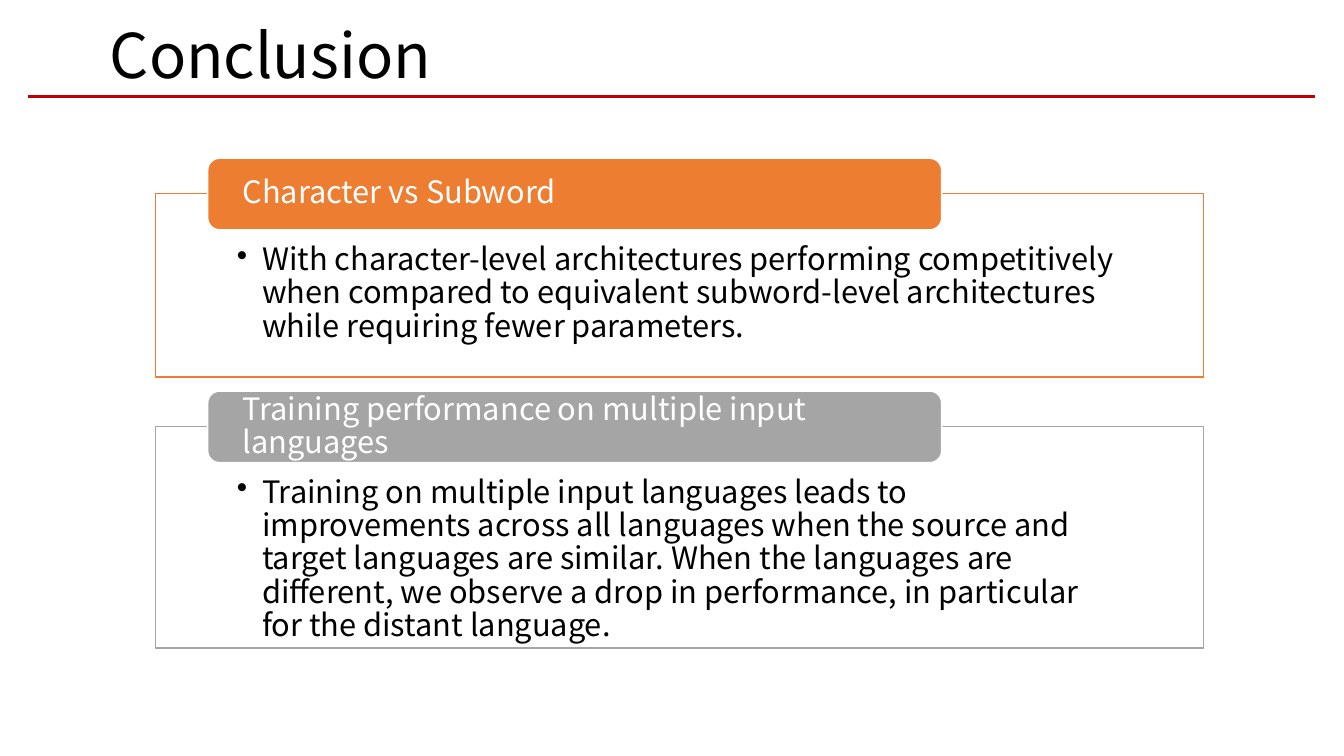
"""Build the conclusion slide with two titled finding panels."""
from dataclasses import dataclass

from lxml.etree import SubElement
from pptx import Presentation
from pptx.dml.color import RGBColor
from pptx.enum.shapes import MSO_CONNECTOR as Connector, MSO_SHAPE as Preset
from pptx.enum.text import MSO_ANCHOR as Anchor, PP_ALIGN as Align
from pptx.oxml.ns import qn
from pptx.shapes.autoshape import Shape
from pptx.shapes.shapetree import SlideShapes
from pptx.text.text import TextFrame
from pptx.util import Emu, Pt

FONT = "Noto Sans CJK SC"
COLORS = {
    "text": "000000",
    "paper": "FFFFFF",
    "rule": "BF0000",
    "orange": "ED7D31",
    "gray": "A5A5A5",
}
PANEL_LEFT, PANEL_WIDTH = 154, 1040
HEADING_LEFT, HEADING_WIDTH, HEADING_HEIGHT = 206, 728, 71
HEADING_RISE = 35


@dataclass(frozen=True)
class Finding:
    heading: str
    detail: str
    color: str
    top: int
    height: int


FINDINGS = [
    Finding(
        "Character vs Subword",
        "With character-level architectures performing competitively when "
        "compared to equivalent subword-level architectures while requiring "
        "fewer parameters.",
        "orange", 192, 182,
    ),
    Finding(
        "Training performance on multiple input languages",
        "Training on multiple input languages leads to improvements across all "
        "languages when the source and target languages are similar. When the "
        "languages are different, we observe a drop in performance, in "
        "particular for the distant language.",
        "gray", 423, 220,
    ),
]


def px(length: int) -> Emu:
    """Turn hundredths of an inch into EMU."""
    return Emu(length * 9144)


def rgb(color: str) -> RGBColor:
    """Look up a named colour."""
    return RGBColor.from_string(COLORS[color])


def write(frame: TextFrame, text: str, size: int, color: str, anchor: Anchor,
          insets: tuple[int, int, int, int]) -> None:
    """Put one left-aligned paragraph into a frame."""
    frame.word_wrap = True
    frame.vertical_anchor = anchor
    (frame.margin_left, frame.margin_top,
     frame.margin_right, frame.margin_bottom) = map(px, insets)
    paragraph = frame.paragraphs[0]
    paragraph.alignment = Align.LEFT
    paragraph.line_spacing = 0.9
    run = paragraph.add_run()
    run.text = text
    run.font.name = FONT
    run.font.size = Pt(size)
    run.font.color.rgb = rgb(color)


def add_bullet(frame: TextFrame) -> None:
    """Give the first paragraph a hanging bullet."""
    properties = frame.paragraphs[0]._p.get_or_add_pPr()
    properties.set("marL", str(px(25)))
    properties.set("indent", str(px(-25)))
    SubElement(properties, qn("a:buChar"), char="•")


def add_box(shapes: SlideShapes, preset: Preset, bounds: tuple[int, int, int, int],
            fill: str, outline: str) -> Shape:
    """Draw a filled, outlined shape without a shadow."""
    box = shapes.add_shape(preset, *map(px, bounds))
    box.shadow.inherit = False
    box.fill.solid()
    box.fill.fore_color.rgb = rgb(fill)
    box.line.color.rgb = rgb(outline)
    box.line.width = Pt(1)
    return box


def add_finding(shapes: SlideShapes, finding: Finding) -> None:
    """Draw a detail panel with its heading over the top edge."""
    panel = add_box(shapes, Preset.RECTANGLE,
                    (PANEL_LEFT, finding.top, PANEL_WIDTH, finding.height),
                    "paper", finding.color)
    panel_color = panel._element.spPr.find(qn("a:solidFill")).find(qn("a:srgbClr"))
    SubElement(panel_color, qn("a:alpha"), val="90000")
    write(panel.text_frame, finding.detail, 22, "text", Anchor.TOP, (81, 50, 81, 17))
    add_bullet(panel.text_frame)
    heading = add_box(shapes, Preset.ROUNDED_RECTANGLE,
                      (HEADING_LEFT, finding.top - HEADING_RISE,
                       HEADING_WIDTH, HEADING_HEIGHT),
                      finding.color, "paper")
    write(heading.text_frame, finding.heading, 22, "paper", Anchor.MIDDLE, (31, 0, 31, 0))


def add_title(shapes: SlideShapes) -> None:
    """Add the slide title and the rule below it."""
    title = shapes.add_textbox(*map(px, (99, -14, 1150, 145)))
    write(title.text_frame, "Conclusion", 44, "text", Anchor.MIDDLE, (10, 5, 10, 5))
    rule = shapes.add_connector(Connector.STRAIGHT, *map(px, (28, 96, 1304, 96)))
    rule.line.color.rgb = rgb("rule")
    rule.line.width = Pt(2.04)
    SubElement(rule._element.spPr, qn("a:effectLst"))


def main() -> None:
    """Build and save the deck."""
    deck = Presentation()
    deck.slide_width, deck.slide_height = px(1333), px(750)
    shapes = deck.slides.add_slide(deck.slide_layouts[6]).shapes
    add_title(shapes)
    for finding in FINDINGS:
        add_finding(shapes, finding)
    deck.save("out.pptx")


if __name__ == "__main__":
    main()
